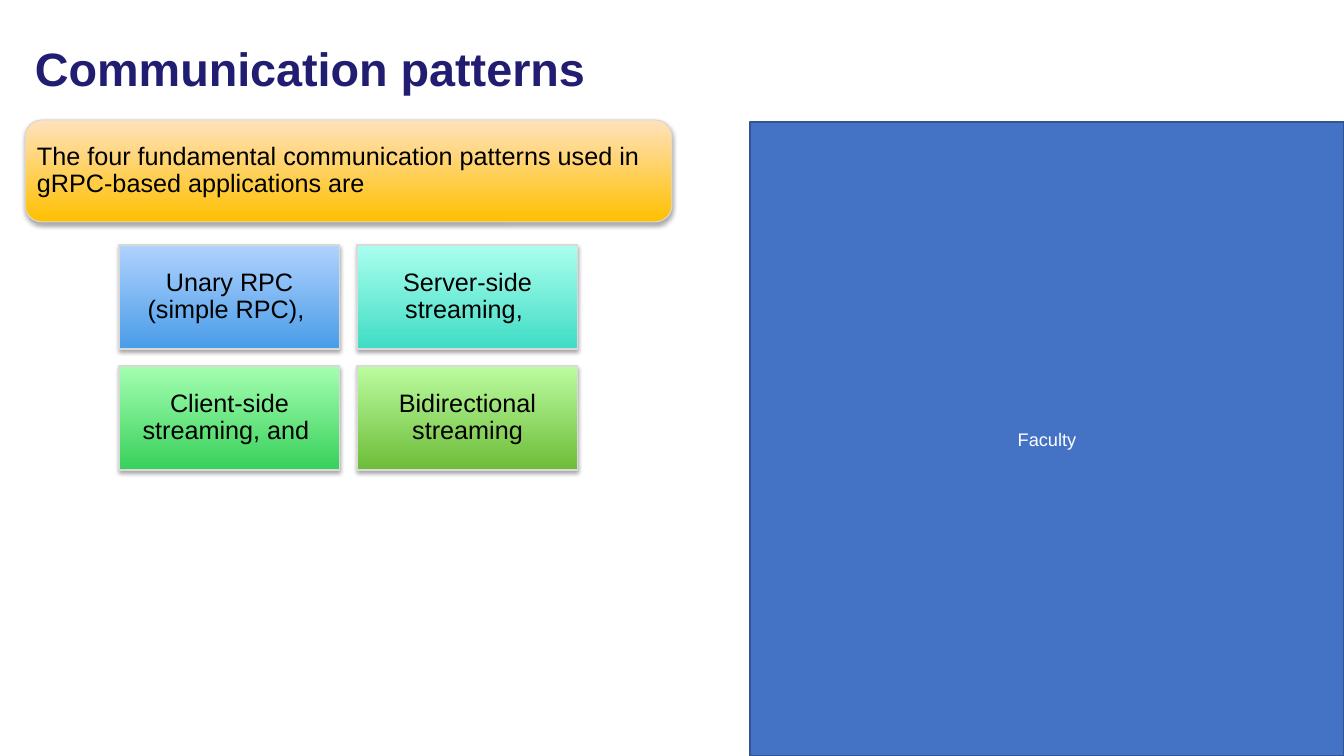
from lxml import etree
from pptx import Presentation
from pptx import util as u
from pptx.dml.color import RGBColor
from pptx.enum import shapes, text
from pptx.oxml import ns

PX = 914400 / 100.8
FONT = "Arial"
NAVY = RGBColor(0x21, 0x1D, 0x70)
BLACK = RGBColor(0, 0, 0)
WHITE = RGBColor(255, 255, 255)
BLUE = RGBColor(0x44, 0x72, 0xC4)
EDGE = RGBColor(0x32, 0x54, 0x91)
GREY = RGBColor(0xD9, 0xD9, 0xD9)
# Gradient pairs, bottom then top
AMBER = (RGBColor(0xFF, 0xC0, 0x00), RGBColor(0xFF, 0xE2, 0xBD))
SKY = (RGBColor(0x49, 0x9C, 0xE7), RGBColor(0xB0, 0xD2, 0xFF))
TEAL = (RGBColor(0x40, 0xDC, 0xC5), RGBColor(0xAA, 0xFF, 0xEE))
GREEN = (RGBColor(0x38, 0xD0, 0x5A), RGBColor(0xA4, 0xFF, 0xB1))
LIME = (RGBColor(0x6D, 0xBC, 0x38), RGBColor(0xBB, 0xFC, 0xA0))

RECT = shapes.MSO_SHAPE.RECTANGLE
ROUND = shapes.MSO_SHAPE.ROUNDED_RECTANGLE
LEFT, MID = text.PP_ALIGN.LEFT, text.PP_ALIGN.CENTER

PATTERNS = [
    ("Unary RPC (simple RPC), ", SKY),
    ("Server-side streaming, ", TEAL),
    ("Client-side streaming, and ", GREEN),
    ("Bidirectional streaming", LIME),
]


def px(*nums):
    return [u.Emu(round(n * PX)) for n in nums]


def write(shape, words, size, color, align, inset, space=0.9):
    frame = shape.text_frame
    frame.word_wrap = True
    frame.vertical_anchor = text.MSO_ANCHOR.MIDDLE
    side, edge = px(*inset)
    frame.margin_left = frame.margin_right = side
    frame.margin_top = frame.margin_bottom = edge
    para = frame.paragraphs[0]
    para.text = words
    para.alignment = align
    para.line_spacing = space
    para.font.name = FONT
    para.font.size = u.Pt(size)
    para.font.color.rgb = color
    return para


def add_glow(shape):
    """Soft shadow straight below the shape."""
    effects = shape.element.spPr.find(ns.qn("a:effectLst"))
    outer = etree.SubElement(
        effects, ns.qn("a:outerShdw"), blurRad=str(u.Pt(3.1)),
        dist=str(u.Pt(1.8)), dir="5400000", algn="ctr", rotWithShape="0")
    tint = etree.SubElement(outer, ns.qn("a:srgbClr"), val="000000")
    etree.SubElement(tint, ns.qn("a:alpha"), val="35000")


def add_card(slide, box, kind, words, colors, align):
    card = slide.shapes.add_shape(kind, *px(*box))
    card.shadow.inherit = False
    card.fill.gradient()
    card.fill.gradient_angle = 90
    for stop, color in zip(card.fill.gradient_stops, colors):
        stop.color.rgb = color
    card.line.color.rgb = GREY
    card.line.width = u.Pt(0.75)
    add_glow(card)
    write(card, words, 18, BLACK, align, (7, 7))


def add_title(slide, box):
    title = slide.shapes.add_textbox(*px(*box))
    para = write(title, "Communication patterns", 33.4, NAVY, LEFT, (10, 5))
    para.font.bold = True


def add_panel(slide, box):
    panel = slide.shapes.add_shape(RECT, *px(*box))
    panel.shadow.inherit = False
    panel.fill.solid()
    panel.fill.fore_color.rgb = BLUE
    panel.line.color.rgb = EDGE
    panel.line.width = u.Pt(2)
    write(panel, "Faculty", 13, WHITE, MID, (10, 5), 1)


def add_grid(slide, box, gap=17, cols=2):
    left, top, width, height = box
    rows = len(PATTERNS) // cols
    wide = (width - gap * (cols - 1)) / cols
    high = (height - gap * (rows - 1)) / rows
    for i, (words, colors) in enumerate(PATTERNS):
        row, col = divmod(i, cols)
        cell = (left + col * (wide + gap), top + row * (high + gap), wide, high)
        add_card(slide, cell, RECT, words, colors, MID)


def main():
    deck = Presentation()
    deck.slide_width, deck.slide_height = px(1344, 756)
    slide = deck.slides.add_slide(deck.slide_layouts[6])
    add_panel(slide, (750, 122, 594, 634))
    add_title(slide, (25, 25, 1190, 92))
    # Lead-in above the four patterns
    add_card(slide, (25, 120, 647, 102), ROUND,
             "The four fundamental communication patterns used in "
             "gRPC-based applications are", AMBER, LEFT)
    add_grid(slide, (119, 245, 459, 225))
    deck.save("out.pptx")


if __name__ == "__main__":
    main()
